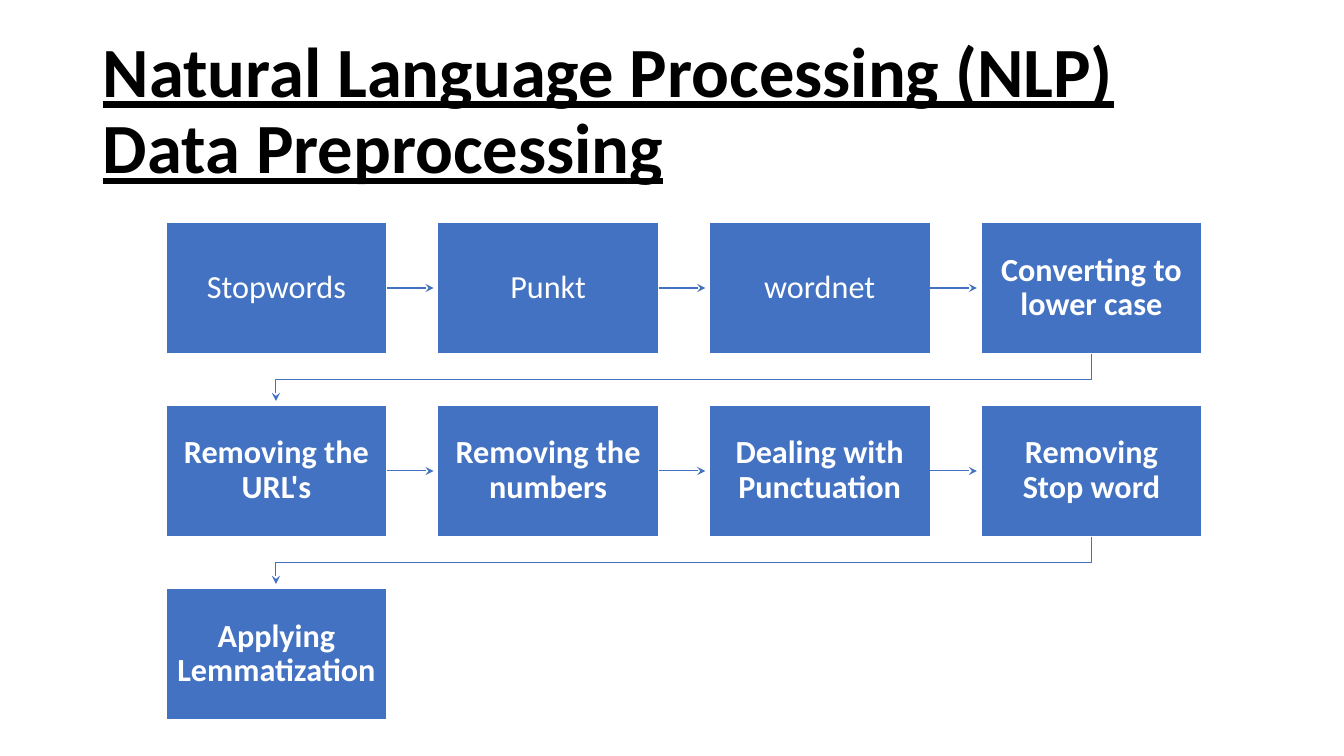
"""Build the NLP data preprocessing flow slide."""
from lxml.etree import SubElement
from pptx import Presentation
from pptx.dml.color import RGBColor
from pptx.enum.shapes import MSO_CONNECTOR, MSO_SHAPE
from pptx.enum.text import MSO_ANCHOR, PP_ALIGN
from pptx.oxml.ns import qn
from pptx.util import Pt

TITLE = ["Natural Language Processing (NLP)", "Data Preprocessing"]
STEPS = [
    ("Stopwords", False),
    ("Punkt", False),
    ("wordnet", False),
    ("Converting to lower case", True),
    ("Removing the URL's", True),
    ("Removing the numbers", True),
    ("Dealing with Punctuation", True),
    ("Removing Stop word", True),
    ("Applying Lemmatization", True),
]
FONT = "Calibri"
BLUE, WHITE, BLACK = "4372C3", "FFFFFF", "000000"

PX = 914400 / 100.8
COLS = 4
LEFT, LAST_LEFT, TOP = 166, 981, 222
BOX_W, BOX_H, ROW_STEP = 221, 132, 183
COL_STEP = (LAST_LEFT - LEFT) / (COLS - 1)
ARROW_GAP, BEND = 4, 26


def px(n):
    return round(n * PX)


def rgb(hex_string):
    return RGBColor.from_string(hex_string)


def add_text(tf, lines, size, color, inset, align, bold, underline=False):
    tf.word_wrap = True
    tf.vertical_anchor = MSO_ANCHOR.MIDDLE
    tf.margin_left = tf.margin_right = px(inset)
    tf.margin_top = tf.margin_bottom = px(inset)
    for i, line in enumerate(lines):
        p = tf.paragraphs[0] if i == 0 else tf.add_paragraph()
        p.alignment = align
        p.line_spacing = 0.9
        r = p.add_run()
        r.text = line
        r.font.name = FONT
        r.font.size = Pt(size)
        r.font.bold = bold
        r.font.underline = underline
        r.font.color.rgb = rgb(color)


def style_arrow(sp):
    sp.line.color.rgb = rgb(BLUE)
    sp.line.width = Pt(0.75)
    SubElement(sp.line._get_or_add_ln(), qn("a:tailEnd"), type="stealth")
    SubElement(sp._element.spPr, qn("a:effectLst"))


def add_box(s, x, y, text, bold):
    sp = s.shapes.add_shape(MSO_SHAPE.RECTANGLE, px(x), px(y), px(BOX_W), px(BOX_H))
    sp.shadow.inherit = False
    sp.fill.solid()
    sp.fill.fore_color.rgb = rgb(BLUE)
    sp.line.color.rgb = rgb(WHITE)
    sp.line.width = Pt(1)
    add_text(sp.text_frame, [text], 23, WHITE, 10, PP_ALIGN.CENTER, bold)
    return sp


def add_side_arrow(s, box, x, y):
    mid = px(y + BOX_H / 2)
    end = px(x + COL_STEP - ARROW_GAP)
    cxn = s.shapes.add_connector(MSO_CONNECTOR.STRAIGHT, px(x + BOX_W), mid, end, mid)
    cxn.begin_connect(box, 3)
    style_arrow(cxn)


def add_return_arrow(s, x, y):
    start, target = round(x + BOX_W / 2), round(LEFT + BOX_W / 2)
    bottom = y + BOX_H
    fb = s.shapes.build_freeform(start, bottom, scale=PX)
    fb.add_line_segments([
        (start, bottom + BEND),
        (target, bottom + BEND),
        (target, y + ROW_STEP - ARROW_GAP),
    ], close=False)
    sp = fb.convert_to_shape()
    sp.fill.background()
    style_arrow(sp)


def main():
    prs = Presentation()
    prs.slide_width, prs.slide_height = px(1344), px(756)
    s = prs.slides.add_slide(prs.slide_layouts[6])
    title = s.shapes.add_textbox(px(93), px(40), px(1159), px(146))
    add_text(title.text_frame, TITLE, 50.4, BLACK, 10, PP_ALIGN.LEFT, True, True)
    for i, (text, bold) in enumerate(STEPS):
        row, col = divmod(i, COLS)
        x, y = LEFT + col * COL_STEP, TOP + row * ROW_STEP
        box = add_box(s, x, y, text, bold)
        if i == len(STEPS) - 1:
            continue
        if col < COLS - 1:
            add_side_arrow(s, box, x, y)
        else:
            add_return_arrow(s, x, y)
    prs.save("out.pptx")


if __name__ == "__main__":
    main()
